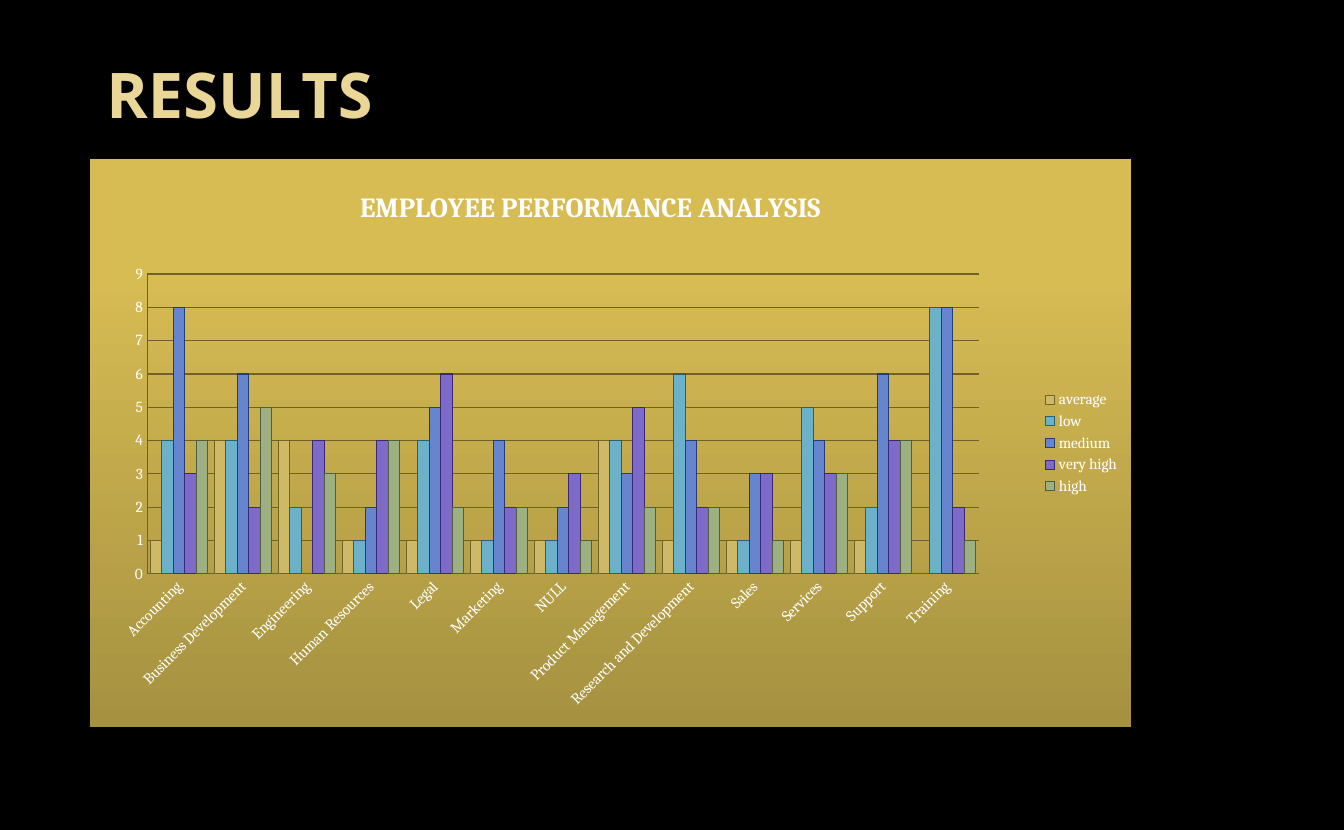
from dataclasses import dataclass
from typing import Any, NamedTuple

from pptx import Presentation
from pptx.chart.chart import Chart
from pptx.chart.data import CategoryChartData
from pptx.dml.color import RGBColor
from pptx.enum.chart import XL_CHART_TYPE, XL_LEGEND_POSITION, XL_TICK_MARK
from pptx.enum.text import MSO_ANCHOR, PP_ALIGN
from pptx.oxml import parse_xml
from pptx.oxml.ns import nsdecls, qn
from pptx.slide import Slide
from pptx.util import Emu, Pt

EMU_PER_PX = 8266


@dataclass(frozen=True)
class Theme:
    background: str = "000000"
    heading: str = "EAD696"
    chart_text: str = "FFFFFF"
    grid: str = "70602E"
    panel: tuple = ((0, "A59140"), (80, "D7BC54"), (100, "DABF52"))
    heading_font: str = "Open Sans"
    chart_font: str = "Cambria"
    heading_size: int = 41
    chart_title_size: int = 18
    label_size: int = 10
    line_width: float = 0.75


class Box(NamedTuple):
    left: int
    top: int
    width: int
    height: int


class Letters(NamedTuple):
    text: str
    spacing: int  # hundredths of a point


class Rating(NamedTuple):
    name: str
    order: int  # alphabetical rank
    color: str
    counts: tuple


THEME = Theme()
SLIDE_SIZE = (1344, 830)
TITLE_BOX = Box(92, 47, 295, 92)
CHART_BOX = Box(90, 159, 1041, 568)
# Places inside the chart
CHART_TITLE_PLACE = {"x": 265, "y": 25}
PLOT_PLACE = {"x": 57, "y": 115, "w": 832, "h": 300}
TITLE = (Letters("R", 0), Letters("E", -40), Letters("S", 10),
         Letters("U", -30), Letters("L", -400), Letters("TS", 0))
DEPARTMENTS = (
    "Accounting", "Business Development", "Engineering", "Human Resources",
    "Legal", "Marketing", "NULL", "Product Management",
    "Research and Development", "Sales", "Services", "Support", "Training",
)
RATINGS = (
    Rating("average", 0, "CEB966", (1, 4, 4, 1, 1, 1, 1, 4, 1, 1, 1, 1, None)),
    Rating("low", 2, "6BB1C9", (4, 4, 2, 1, 4, 1, 1, 4, 6, 1, 5, 2, 8)),
    Rating("medium", 3, "6585CF", (8, 6, None, 2, 5, 4, 2, 3, 4, 3, 4, 6, 8)),
    Rating("very high", 4, "7E6BC9", (3, 2, 4, 4, 6, 2, 3, 5, 2, 3, 3, 4, 2)),
    Rating("high", 1, "9CB084", (4, 5, 3, 4, 2, 2, 1, 2, 2, 1, 3, 4, 1)),
)


def px(length: int) -> Emu:
    return Emu(length * EMU_PER_PX)


def apply(target: Any, values: dict[str, Any]) -> None:
    for name, value in values.items():
        setattr(target, name, value)


def format_font(font: Any, face: str, size: int, color: str, bold: bool) -> None:
    apply(font, {"name": face, "size": Pt(size), "bold": bold})
    font.color.rgb = RGBColor.from_string(color)


def format_line(line: Any, color: str, brightness: float = 0) -> None:
    line.width = Pt(THEME.line_width)
    line.color.rgb = RGBColor.from_string(color)
    line.color.brightness = brightness


def set_layout(parent: Any, index: int, target: str, place: dict[str, int]) -> None:
    """Place a chart part, given in px from the chart's corner."""
    for old in parent.findall(qn("c:layout")):
        parent.remove(old)
    extent = {"x": CHART_BOX.width, "w": CHART_BOX.width,
              "y": CHART_BOX.height, "h": CHART_BOX.height}
    modes = "".join(f'<c:{side}Mode val="edge"/>' for side in "xy")
    sizes = "".join(f'<c:{name} val="{value / extent[name]:.4f}"/>'
                    for name, value in place.items())
    parent.insert(index, parse_xml(
        f'<c:layout {nsdecls("c")}><c:manualLayout>{target}{modes}{sizes}'
        "</c:manualLayout></c:layout>"))


def add_title(slide: Slide) -> None:
    title = slide.shapes.title
    apply(title, {name: px(value) for name, value in TITLE_BOX._asdict().items()})
    frame = title.text_frame
    apply(frame, {"margin_left": 0, "margin_right": 0, "margin_top": px(1),
                  "margin_bottom": 0, "vertical_anchor": MSO_ANCHOR.MIDDLE,
                  "word_wrap": True})
    paragraph = frame.paragraphs[0]
    paragraph.alignment = PP_ALIGN.CENTER
    for letters in TITLE:
        run = paragraph.add_run()
        run.text = letters.text
        format_font(run.font, THEME.heading_font, THEME.heading_size,
                    THEME.heading, True)
        run.font._element.set("spc", str(letters.spacing))


def fill_panel(chart: Chart) -> None:
    stops = "".join(
        f'<a:gs pos="{position * 1000}"><a:srgbClr val="{color}"/></a:gs>'
        for position, color in THEME.panel)
    chart._chartSpace.find(qn("c:chart")).addnext(parse_xml(
        f'<c:spPr {nsdecls("c", "a")}><a:gradFill><a:gsLst>{stops}</a:gsLst>'
        '<a:lin ang="16200000" scaled="0"/></a:gradFill>'
        "<a:ln><a:noFill/></a:ln></c:spPr>"))


def format_axes(chart: Chart) -> None:
    ticks = {"major_tick_mark": XL_TICK_MARK.NONE,
             "minor_tick_mark": XL_TICK_MARK.NONE}
    for axis in (chart.category_axis, chart.value_axis):
        apply(axis, ticks)
        format_line(axis.format.line, THEME.grid)
        format_font(axis.tick_labels.font, THEME.chart_font, THEME.label_size,
                    THEME.chart_text, False)
    apply(chart.value_axis, {"minimum_scale": 0, "maximum_scale": 9,
                             "major_unit": 1, "has_major_gridlines": True})
    format_line(chart.value_axis.major_gridlines.format.line, THEME.grid)
    # Slanted department names
    labels = chart.category_axis._element.find(qn("c:txPr"))
    labels.find(qn("a:bodyPr")).set("rot", "-2700000")


def add_performance_chart(slide: Slide) -> None:
    data = CategoryChartData(number_format="General")
    data.categories = DEPARTMENTS
    for rating in RATINGS:
        data.add_series(rating.name, rating.counts)
    chart = slide.shapes.add_chart(XL_CHART_TYPE.COLUMN_CLUSTERED,
                                   *map(px, CHART_BOX), data).chart
    format_font(chart.font, THEME.chart_font, THEME.label_size,
                THEME.chart_text, False)
    fill_panel(chart)

    # Chart title
    chart.has_title = True
    run = chart.chart_title.text_frame.paragraphs[0].add_run()
    run.text = "EMPLOYEE PERFORMANCE ANALYSIS"
    format_font(run.font, THEME.chart_font, THEME.chart_title_size,
                THEME.chart_text, True)
    set_layout(chart.chart_title._element, 1, "", CHART_TITLE_PLACE)

    # Columns
    plot = chart.plots[0]
    apply(plot, {"gap_width": 55, "overlap": 0, "vary_by_categories": False})
    for series, rating in zip(list(plot.series), RATINGS):
        series.format.fill.solid()
        series.format.fill.fore_color.rgb = RGBColor.from_string(rating.color)
        format_line(series.format.line, rating.color, -0.5)
        series._element.find(qn("c:order")).set("val", str(rating.order))
    plot_area = chart._chartSpace.find(qn("c:chart")).find(qn("c:plotArea"))
    set_layout(plot_area, 0, '<c:layoutTarget val="inner"/>', PLOT_PLACE)
    format_axes(chart)

    # Legend
    chart.has_legend = True
    apply(chart.legend, {"position": XL_LEGEND_POSITION.RIGHT,
                         "include_in_layout": False})
    format_font(chart.legend.font, THEME.chart_font, THEME.label_size,
                THEME.chart_text, False)


def main() -> None:
    presentation = Presentation()
    presentation.slide_width, presentation.slide_height = map(px, SLIDE_SIZE)
    slide = presentation.slides.add_slide(
        presentation.slide_layouts.get_by_name("Title Only"))
    slide.background.fill.solid()
    slide.background.fill.fore_color.rgb = RGBColor.from_string(THEME.background)
    add_title(slide)
    add_performance_chart(slide)
    presentation.save("out.pptx")


if __name__ == "__main__":
    main()
